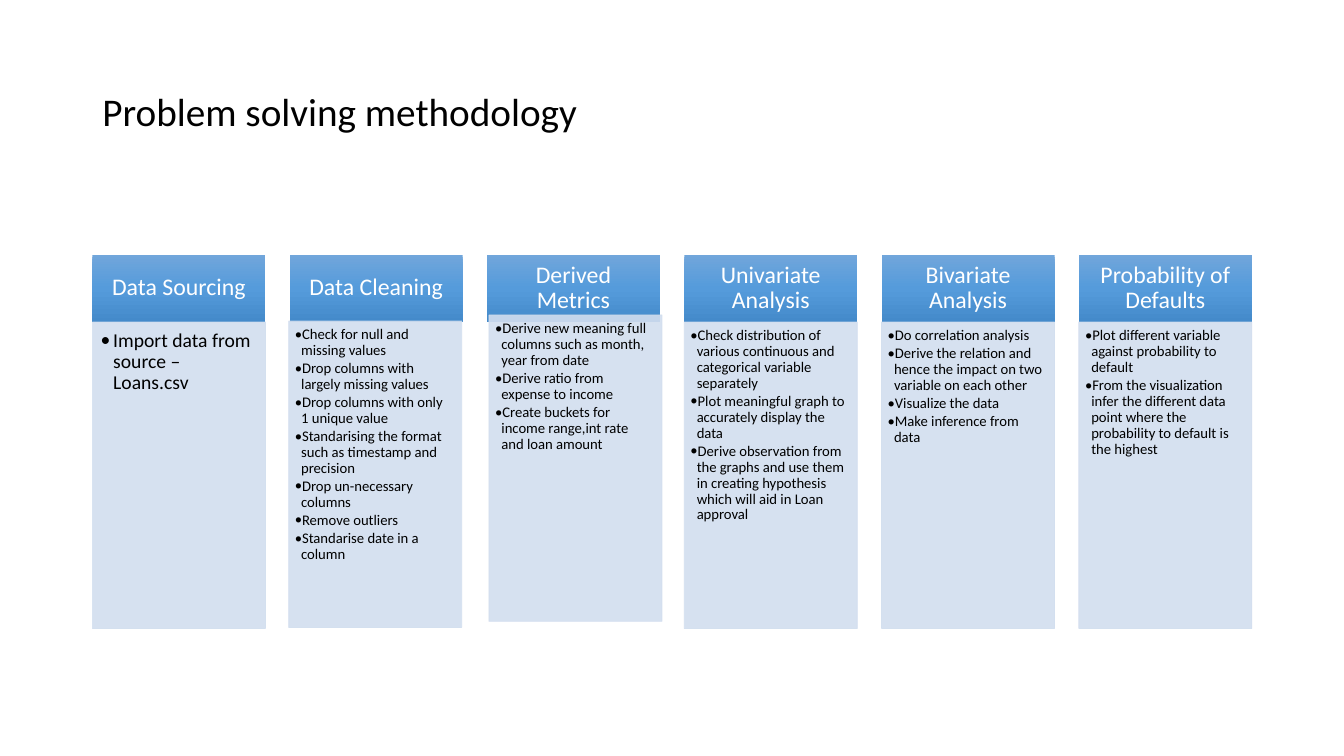
from copy import deepcopy
from dataclasses import dataclass

from lxml.etree import SubElement
from pptx import Presentation
from pptx.dml.color import RGBColor
from pptx.enum.shapes import MSO_SHAPE
from pptx.enum.text import MSO_ANCHOR, MSO_AUTO_SIZE, PP_ALIGN
from pptx.oxml.ns import qn
from pptx.util import Inches, Pt


@dataclass(frozen=True)
class Theme:
    font: str = "Calibri"
    ink: str = "000000"
    light: str = "FFFFFF"
    panel: str = "D2DEEF"
    shades: tuple = ("71A6DB", "559BDB", "448ACA")
    title: float = 28
    head: float = 17
    large: float = 14
    small: float = 10.5


THEME = Theme()

# Six columns share the title's width; each gap is 14% of a column
LEFT, SPAN, MIDDLE = 11 / 12, 11.5, 4.38
WIDTH = SPAN / (6 + 5 * 0.14)
STEP = WIDTH * 1.14
HEAD_HIGH, BODY_HIGH = 0.67, 3.04
TOP = MIDDLE - (HEAD_HIGH + BODY_HIGH) / 2
HEAD_PAD = (0.13, 0.08, 0.13, 0.08)
BODY_PAD = (0.42, 0.42, 0.56, 0.63)  # in ems

# Heading, panel shift (across, down), type size, indent, points
STAGES = [
    ("Data Sourcing", (0, 0), THEME.large, 1 / 8, ["Import data from source – Loans.csv"]),
    ("Data Cleaning", (-0.01, -0.01), THEME.small, 1 / 16, [
        "Check for null and missing values",
        "Drop columns with largely missing values",
        "Drop columns with only 1 unique value",
        "Standarising the format such as timestamp and precision",
        "Drop un-necessary columns",
        "Remove outliers",
        "Standarise date in a column",
    ]),
    ("Derived Metrics", (0.02, -0.07), THEME.small, 1 / 16, [
        "Derive new meaning full columns such as month, year from date",
        "Derive ratio from expense to income",
        "Create buckets for income range,int rate and loan amount",
    ]),
    ("Univariate Analysis", (0, 0), THEME.small, 1 / 16, [
        "Check distribution of various continuous and categorical variable separately",
        "Plot meaningful graph to accurately display the data",
        "Derive observation from the graphs and use them in creating hypothesis "
        "which will aid in Loan approval",
    ]),
    ("Bivariate Analysis", (0, 0), THEME.small, 1 / 16, [
        "Do correlation analysis",
        "Derive the relation and hence the impact on two variable on each other",
        "Visualize the data",
        "Make inference from data",
    ]),
    ("Probability of Defaults", (0, 0), THEME.small, 1 / 16, [
        "Plot different variable against probability to default",
        "From the visualization infer the different data point where the "
        "probability to default is the highest",
    ]),
]


def write(shape, lines, *, size, color=THEME.ink, align=PP_ALIGN.LEFT,
          anchor=MSO_ANCHOR.MIDDLE, pad=(0.1, 0.05, 0.1, 0.05), indent=0):
    """Fill a shape with paragraphs; an indent adds hanging bullets."""
    frame = shape.text_frame
    frame.word_wrap = True
    frame.auto_size = MSO_AUTO_SIZE.NONE
    frame.vertical_anchor = anchor
    (frame.margin_left, frame.margin_top,
     frame.margin_right, frame.margin_bottom) = map(Inches, pad)
    frame.text = "\n".join(lines)
    for para in frame.paragraphs:
        para.alignment = align
        para.line_spacing = 0.9
        font = para.runs[0].font
        font.name, font.size = THEME.font, Pt(size)
        font.color.rgb = RGBColor.from_string(color)
        if indent:
            para.level = 1
            para.space_after = Pt(round(size * 0.15, 1))
            props = para._p.get_or_add_pPr()
            props.set("marL", str(Inches(indent)))
            props.set("indent", str(-Inches(indent)))
            SubElement(props, qn("a:buFont"), typeface=THEME.font)
            SubElement(props, qn("a:buChar"), char="•")


def add_box(slide, left, top, high):
    box = slide.shapes.add_shape(
        MSO_SHAPE.RECTANGLE, Inches(left), Inches(top), Inches(WIDTH), Inches(high))
    box.shadow.inherit = False
    return box


def add_head(slide, left, label):
    box = add_box(slide, left, TOP, HEAD_HIGH)
    box.line.fill.background()
    box.fill.gradient()
    box.fill.gradient_angle = 270
    first = box._element.spPr.find(".//" + qn("a:gs"))
    first.addnext(deepcopy(first))
    for stop, place, shade in zip(box.fill.gradient_stops, (0, 0.5, 1), THEME.shades):
        stop.position = place
        stop.color.rgb = RGBColor.from_string(shade)
    write(box, [label], size=THEME.head, color=THEME.light,
          align=PP_ALIGN.CENTER, pad=HEAD_PAD)


def add_panel(slide, left, top, points, size, indent):
    box = add_box(slide, left, top, BODY_HIGH)
    box.fill.solid()
    box.line.width = Pt(0.5)
    for color in (box.fill.fore_color, box.line.color):
        color.rgb = RGBColor.from_string(THEME.panel)
    for node in box._element.spPr.iter(qn("a:srgbClr")):
        SubElement(node, qn("a:alpha"), val="90000")
    write(box, points, size=size, indent=indent, anchor=MSO_ANCHOR.TOP,
          pad=[part * size / 72 for part in BODY_PAD])


def add_title(slide, text):
    title = slide.shapes.title
    title.left, title.top = Inches(LEFT), Inches(0.4)
    title.width, title.height = Inches(SPAN), Inches(1.45)
    write(title, [text], size=THEME.title)


def main():
    deck = Presentation()
    deck.slide_width, deck.slide_height = Inches(13.33), Inches(7.5)
    slide = deck.slides.add_slide(deck.slide_layouts[5])
    add_title(slide, "Problem solving methodology")
    for index, (label, (across, down), size, indent, points) in enumerate(STAGES):
        left = LEFT + index * STEP
        add_head(slide, left, label)
        add_panel(slide, left + across, TOP + HEAD_HIGH + down, points, size, indent)
    deck.save("out.pptx")


if __name__ == "__main__":
    main()
